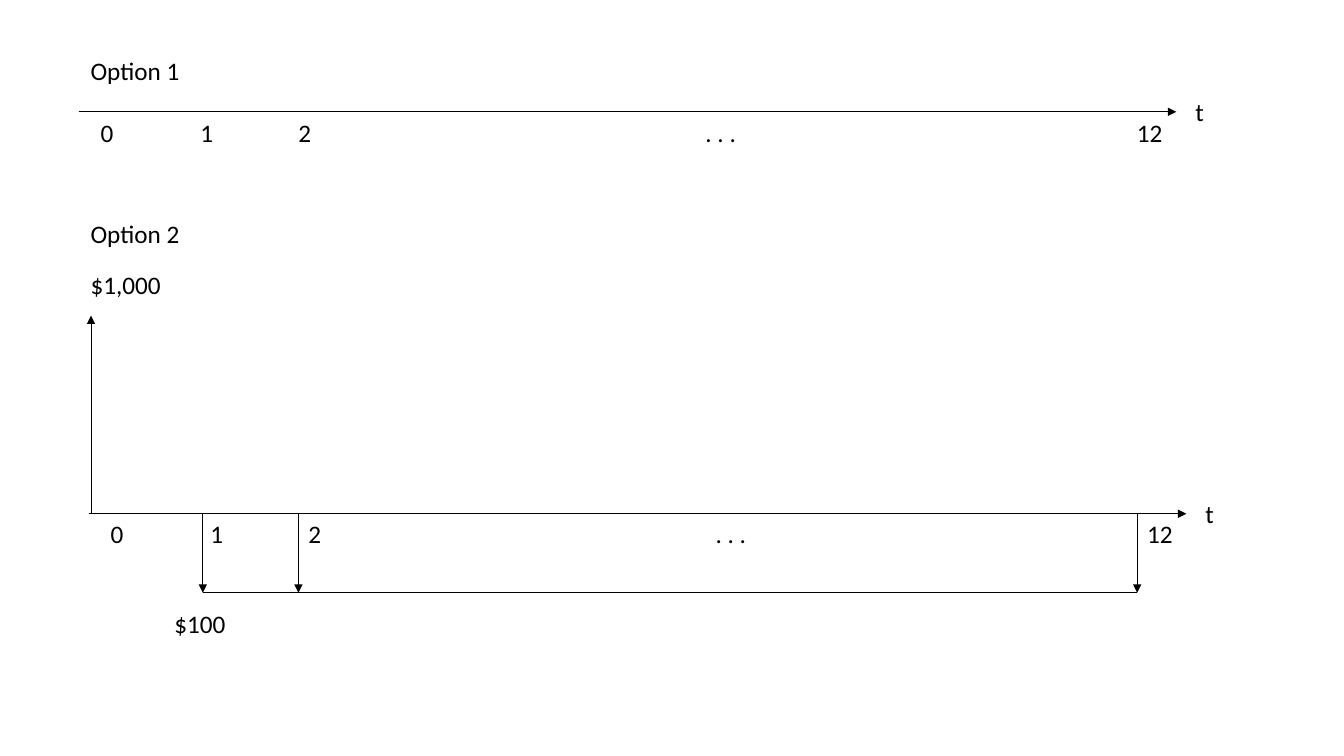
from lxml import etree
from pptx import Presentation
from pptx.dml.color import RGBColor
from pptx.enum.shapes import MSO_CONNECTOR
from pptx.enum.text import MSO_AUTO_SIZE
from pptx.oxml.ns import qn
from pptx.util import Pt

STRAIGHT = MSO_CONNECTOR.STRAIGHT
FIT = MSO_AUTO_SIZE.SHAPE_TO_FIT_TEXT
BLACK = RGBColor(0, 0, 0)
FONT = "Calibri"
HEIGHT = 29
LENGTH = 784

# Text, offset from the axis start, width, wrap
TICKS = [
    ("0", 8.6, 19.4, True),
    ("12", 748.8, 35.4, True),
    ("1", 79.9, 19.4, True),
    ("2", 149.8, 19.4, True),
    (". . .", 440.6, 36.7, False),
]


def add_line(slide, x1, y1, x2, y2, arrow=True):
    line = slide.shapes.add_connector(
        STRAIGHT, Pt(x1), Pt(y1), Pt(x2), Pt(y2))
    line.line.color.rgb = BLACK
    line.line.width = Pt(0.5)
    if arrow:
        stroke = line.line._get_or_add_ln()
        etree.SubElement(stroke, qn("a:tailEnd"), type="triangle")
    etree.SubElement(line._element.spPr, qn("a:effectLst"))


def add_label(slide, text, x, y, width, wrap=True):
    box = slide.shapes.add_textbox(Pt(x), Pt(y), Pt(width), Pt(HEIGHT))
    frame = box.text_frame
    frame.word_wrap = wrap
    frame.auto_size = FIT
    run = frame.paragraphs[0].add_run()
    run.text = text
    run.font.name = FONT
    run.font.size = Pt(18)
    run.font.color.rgb = BLACK


def add_axis(slide, x, y):
    """Draw a time axis with its ticks, starting at x, y."""
    add_line(slide, x, y, x + LENGTH, y)
    add_label(slide, "t", x + 790.6, y - 14.4, 19.4)
    for text, shift, width, wrap in TICKS:
        add_label(slide, text, x + shift, y, width, wrap)


def add_flows(slide, axis, base):
    """Draw the receipt upwards and the payments down to a base line."""
    add_line(slide, 65, axis, 65, 225.4)
    stops = [144.9, 213.2, 812.3]
    for x in stops:
        add_line(slide, x, axis, x, base)
    add_line(slide, stops[0], base, stops[-1], base, arrow=False)


def main():
    deck = Presentation()
    deck.slide_width = Pt(960)
    deck.slide_height = Pt(540)
    slide = deck.slides.add_slide(deck.slide_layouts[6])

    add_axis(slide, 56.2, 79.9)
    add_axis(slide, 63.4, 367)
    add_flows(slide, 367, 423.4)

    add_label(slide, "Option 1", 57.6, 36, 78.5, wrap=False)
    add_label(slide, "Option 2", 57.6, 152.6, 78.5, wrap=False)
    add_label(slide, "$1,000", 57.6, 188.9, 68.4)
    add_label(slide, "$100", 117.4, 431.3, 52)
    deck.save("out.pptx")


if __name__ == "__main__":
    main()
